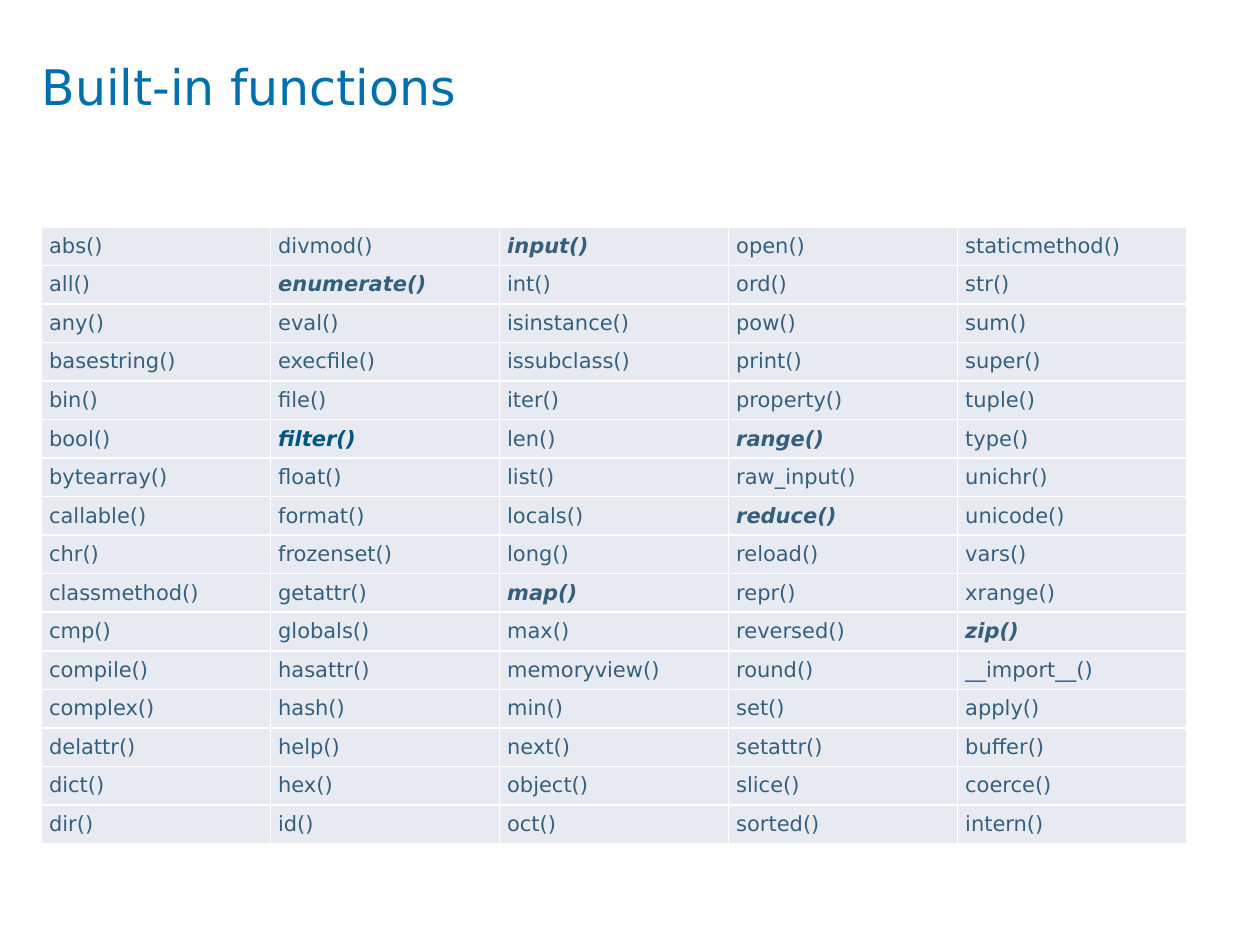
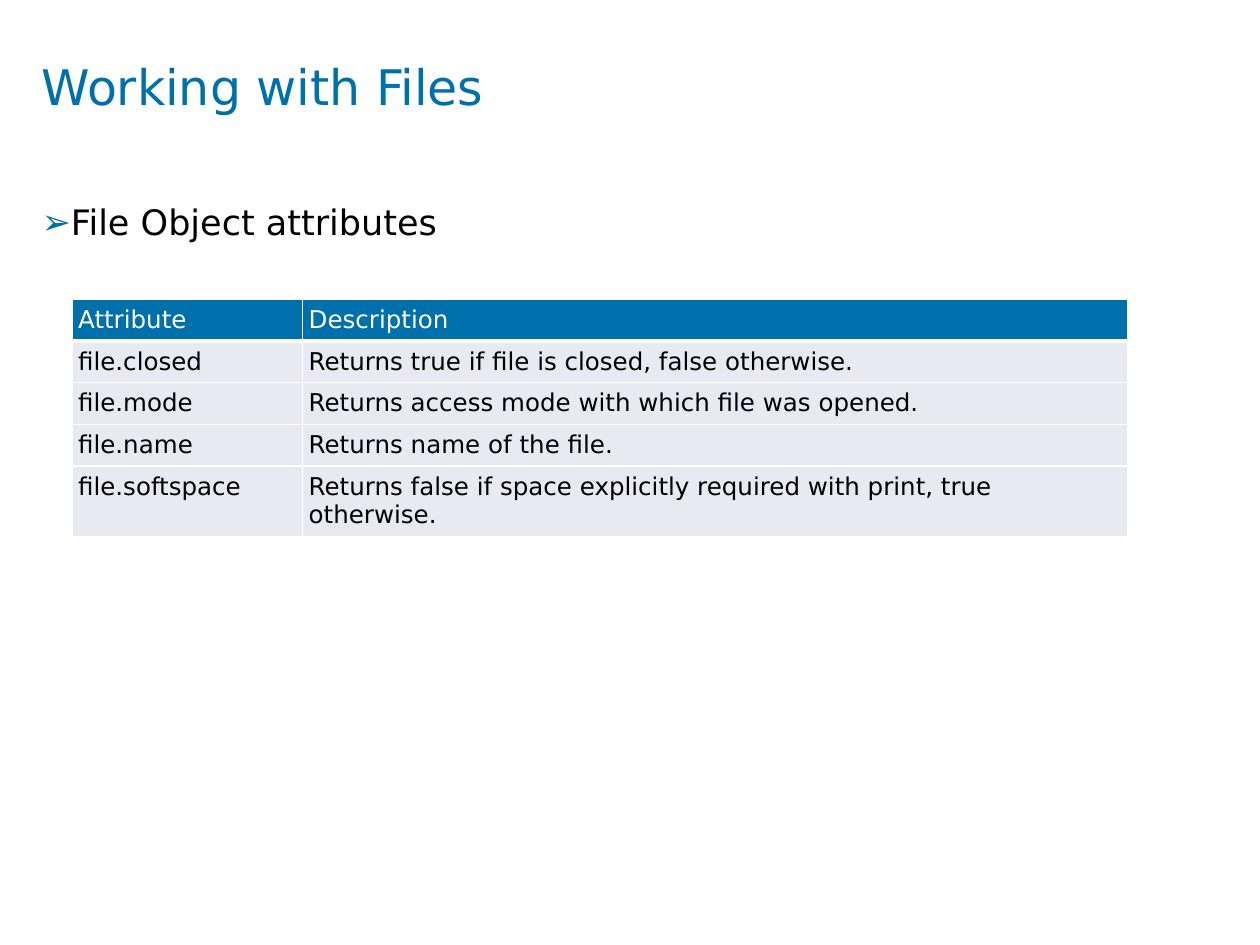
from dataclasses import dataclass, field

from lxml import etree
from pptx import Presentation
from pptx import util as u
from pptx.dml.color import RGBColor
from pptx.enum import text
from pptx.oxml import ns

BLUE = RGBColor(0x00, 0x70, 0xAD)
DARK_BLUE = RGBColor(0x00, 0x54, 0x82)
SLATE = RGBColor(0x35, 0x5F, 0x7C)
PALE = RGBColor(0xE7, 0xEB, 0xF1)
WHITE = RGBColor(0xFF, 0xFF, 0xFF)
BLACK = RGBColor(0x00, 0x00, 0x00)
FONT = "DejaVu Sans"
SLIDE_WIDTH, SLIDE_HEIGHT = u.Inches(10), u.Inches(7.5)
TITLE_ONLY, TITLE_AND_BODY = 5, 1


@dataclass(frozen=True)
class Box:
    """Position and size as percentages of the slide."""

    left: float
    top: float
    width: float
    height: float

    def lengths(self) -> dict[str, int]:
        return {
            "left": round(SLIDE_WIDTH * self.left / 100),
            "top": round(SLIDE_HEIGHT * self.top / 100),
            "width": round(SLIDE_WIDTH * self.width / 100),
            "height": round(SLIDE_HEIGHT * self.height / 100),
        }


@dataclass(frozen=True)
class TextStyle:
    size: int
    color: RGBColor
    bold: bool = False
    italic: bool = False


@dataclass(frozen=True)
class CellStyle:
    text: TextStyle
    fill: RGBColor = PALE
    bottom_border: int = 1


@dataclass(frozen=True)
class TableDesign:
    box: Box
    column_shares: list[float]
    row_shares: list[float]
    margins: tuple[float, float]
    anchor: text.MSO_ANCHOR
    body: CellStyle
    header: CellStyle | None = None
    highlights: dict[str, CellStyle] = field(default_factory=dict)

    def style_for(self, row: int, wording: str) -> CellStyle:
        if row == 0 and self.header:
            return self.header
        return self.highlights.get(wording, self.body)


TITLE_BOX = Box(3.3, 6, 93.3, 12.5)
BODY_BOX = Box(3.3, 21.73, 93.4, 67.73)
TITLE_STYLE = TextStyle(28, BLUE)
BODY_STYLE = TextStyle(20, BLACK)

FUNCTION_COLUMNS = [
    "abs all any basestring bin bool bytearray callable chr classmethod cmp "
    "compile complex delattr dict dir",
    "divmod enumerate eval execfile file filter float format frozenset getattr "
    "globals hasattr hash help hex id",
    "input int isinstance issubclass iter len list locals long map max "
    "memoryview min next object oct",
    "open ord pow print property range raw_input reduce reload repr reversed "
    "round set setattr slice sorted",
    "staticmethod str sum super tuple type unichr unicode vars xrange zip "
    "__import__ apply buffer coerce intern",
]
FUNCTION_ROWS = [
    [f"{name}()" for name in names]
    for names in zip(*(column.split() for column in FUNCTION_COLUMNS))
]
EMPHASIS = CellStyle(TextStyle(12, SLATE, bold=True, italic=True))
EMPHASIZED = ["input()", "enumerate()", "range()", "reduce()", "map()", "zip()"]
FUNCTION_TABLE = TableDesign(
    box=Box(3.3, 24, 90.9, 65.33),
    column_shares=[1] * len(FUNCTION_COLUMNS),
    row_shares=[1] * len(FUNCTION_ROWS),
    margins=(0.06, 0.02),
    anchor=text.MSO_ANCHOR.MIDDLE,
    body=CellStyle(TextStyle(12, SLATE)),
    highlights=dict.fromkeys(EMPHASIZED, EMPHASIS)
    | {"filter()": CellStyle(TextStyle(12, DARK_BLUE, bold=True, italic=True))},
)

ATTRIBUTE_ROWS = [
    ["Attribute", "Description"],
    ["file.closed", "Returns true if file is closed, false otherwise."],
    ["file.mode", "Returns access mode with which file was opened."],
    ["file.name", "Returns name of the file."],
    [
        "file.softspace",
        "Returns false if space explicitly required with print, true otherwise.",
    ],
]
ATTRIBUTE_TABLE = TableDesign(
    box=Box(5.7, 31.7, 83.8, 25.07),
    column_shares=[1.83, 6.55],
    row_shares=[0.33] * 4 + [0.56],
    margins=(0.05, 0.05),
    anchor=text.MSO_ANCHOR.TOP,
    body=CellStyle(TextStyle(14, BLACK)),
    header=CellStyle(TextStyle(14, WHITE), BLUE, bottom_border=3),
)


def set_attributes(target, values: dict) -> None:
    for name, value in values.items():
        setattr(target, name, value)


def add_element(parent, tag: str, **attributes):
    return etree.SubElement(parent, ns.qn(tag), attributes)


def write_text(paragraph, wording: str, style: TextStyle) -> None:
    run = paragraph.add_run()
    run.text = wording
    set_attributes(run.font, {
        "name": FONT,
        "size": u.Pt(style.size),
        "bold": style.bold,
        "italic": style.italic,
    })
    run.font.color.rgb = style.color


def fill_placeholder(shape, box: Box, wording: str, style: TextStyle):
    set_attributes(shape, box.lengths())
    margins = dict.fromkeys(
        ["margin_left", "margin_top", "margin_right", "margin_bottom"], 0
    )
    set_attributes(shape.text_frame, margins | {
        "word_wrap": True,
        "auto_size": text.MSO_AUTO_SIZE.NONE,
        "vertical_anchor": text.MSO_ANCHOR.TOP,
    })
    paragraph = shape.text_frame.paragraphs[0]
    paragraph.alignment = text.PP_ALIGN.LEFT
    write_text(paragraph, wording, style)
    return paragraph


def add_titled_slide(presentation, layout: int, title: str):
    slide = presentation.slides.add_slide(presentation.slide_layouts[layout])
    fill_placeholder(slide.shapes.title, TITLE_BOX, title, TITLE_STYLE)
    return slide


def add_arrow_bullet(paragraph) -> None:
    set_attributes(paragraph, {
        "alignment": text.PP_ALIGN.JUSTIFY,
        "line_spacing": 0.9,
        "space_before": u.Pt(7.5),
    })
    properties = paragraph._p.get_or_add_pPr()
    indent = u.Inches(0.23)
    properties.set("marL", str(indent))
    properties.set("indent", str(-indent))
    color = add_element(properties, "a:buClr")
    add_element(color, "a:srgbClr", val=str(BLUE))
    add_element(properties, "a:buChar", char="➢")


def draw_borders(cell, bottom_width: int) -> None:
    properties = cell._tc.get_or_add_tcPr()
    widths = {"a:lnL": 1, "a:lnR": 1, "a:lnT": 1, "a:lnB": bottom_width}
    for tag, width in widths.items():
        line = add_element(properties, tag, w=str(u.Pt(width)))
        fill = add_element(line, "a:solidFill")
        add_element(fill, "a:srgbClr", val=str(WHITE))


def share_out(tracks, shares: list[float], total: int, dimension: str) -> None:
    for track, share in zip(tracks, shares):
        setattr(track, dimension, round(total * share / sum(shares)))


def add_text_table(slide, rows: list[list[str]], design: TableDesign) -> None:
    box = design.box.lengths()
    table = slide.shapes.add_table(len(rows), len(rows[0]), **box).table
    set_attributes(table, {
        "first_row": design.header is not None,
        "horz_banding": False,
    })
    share_out(table.columns, design.column_shares, box["width"], "width")
    share_out(table.rows, design.row_shares, box["height"], "height")
    side, edge = (u.Inches(margin) for margin in design.margins)
    for row, wordings in enumerate(rows):
        for column, wording in enumerate(wordings):
            cell = table.cell(row, column)
            style = design.style_for(row, wording)
            set_attributes(cell, {
                "margin_left": side,
                "margin_right": side,
                "margin_top": edge,
                "margin_bottom": edge,
                "vertical_anchor": design.anchor,
            })
            draw_borders(cell, style.bottom_border)
            cell.fill.solid()
            cell.fill.fore_color.rgb = style.fill
            write_text(cell.text_frame.paragraphs[0], wording, style.text)


def build_functions_slide(presentation) -> None:
    slide = add_titled_slide(presentation, TITLE_ONLY, "Built-in functions")
    add_text_table(slide, FUNCTION_ROWS, FUNCTION_TABLE)


def build_files_slide(presentation) -> None:
    slide = add_titled_slide(presentation, TITLE_AND_BODY, "Working with Files")
    paragraph = fill_placeholder(
        slide.placeholders[1], BODY_BOX, "File Object attributes", BODY_STYLE
    )
    add_arrow_bullet(paragraph)
    add_text_table(slide, ATTRIBUTE_ROWS, ATTRIBUTE_TABLE)


def main() -> None:
    presentation = Presentation()
    set_attributes(
        presentation, {"slide_width": SLIDE_WIDTH, "slide_height": SLIDE_HEIGHT}
    )
    build_functions_slide(presentation)
    build_files_slide(presentation)
    presentation.save("out.pptx")


if __name__ == "__main__":
    main()
